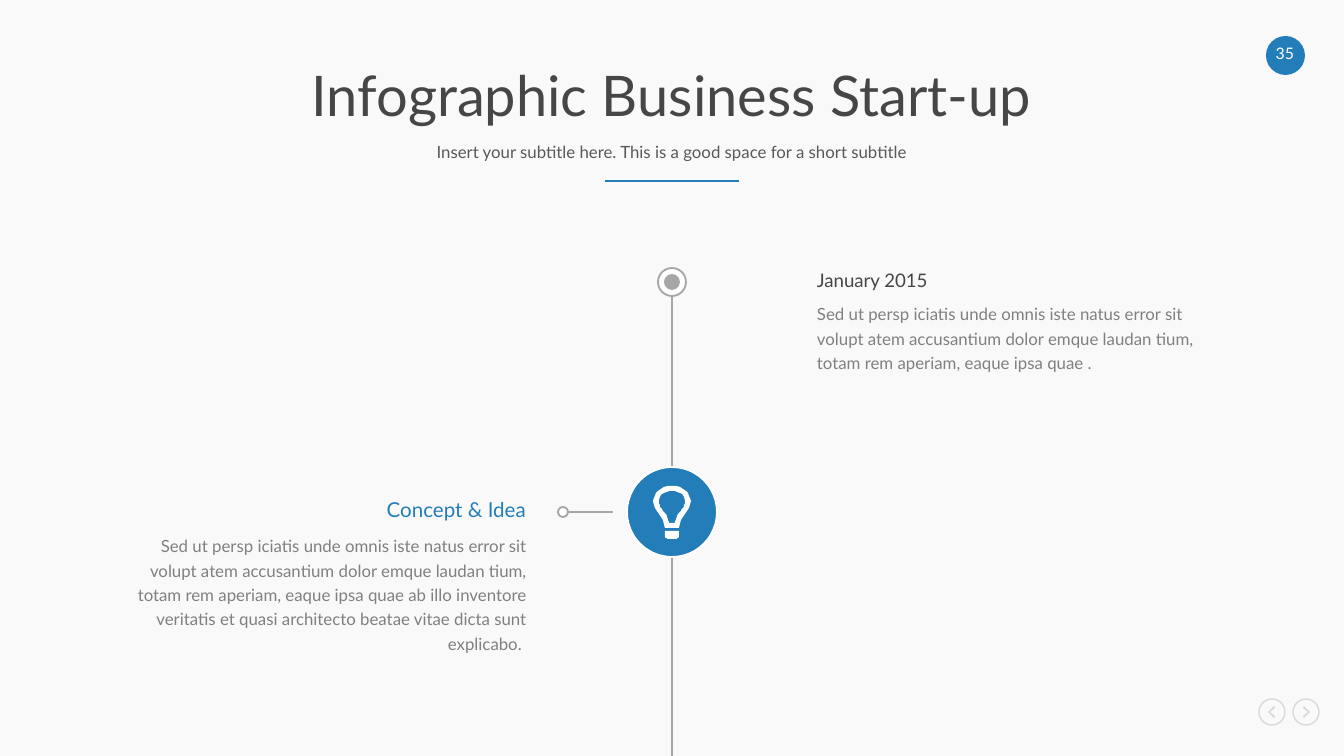
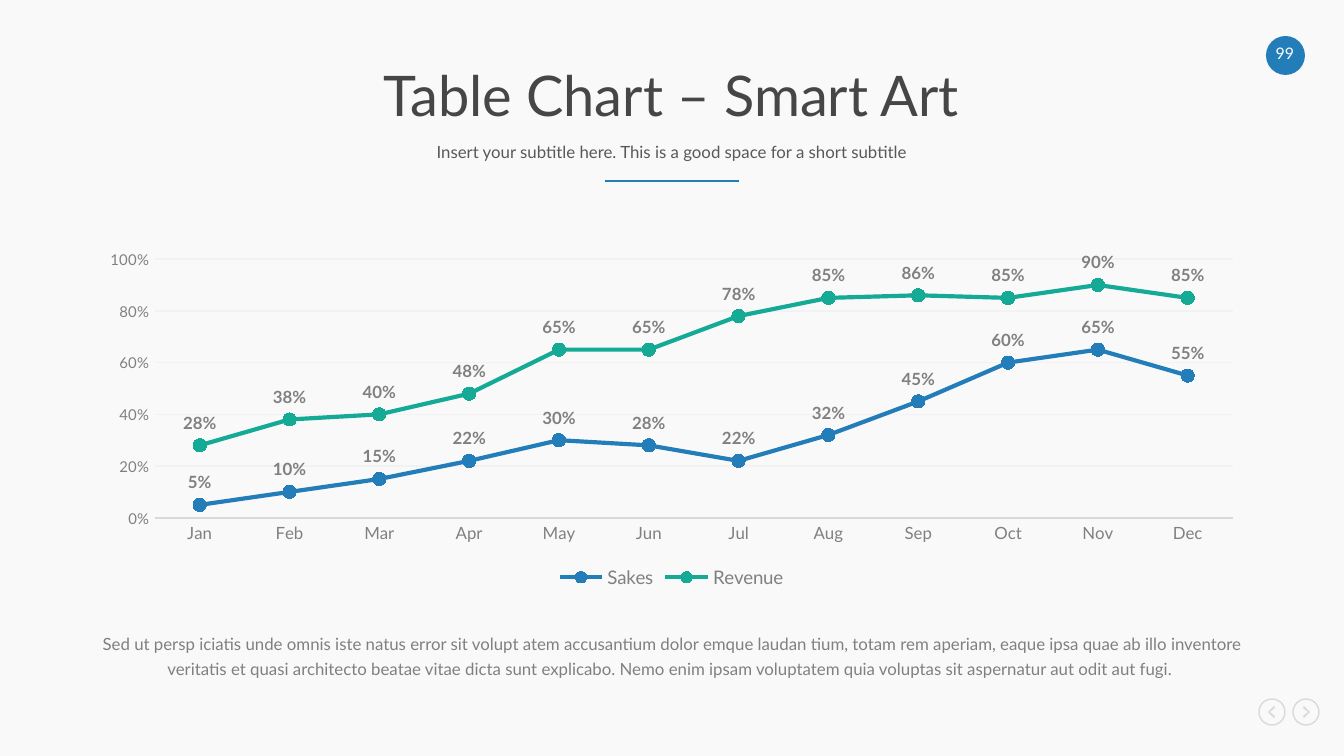
import dataclasses

import pptx
import pptx.chart.data
import pptx.dml.color
import pptx.enum.chart
import pptx.enum.shapes
import pptx.enum.text
import pptx.oxml
import pptx.util
from pptx.oxml import ns

PX = 6804  # EMU in one px
WIDTH, HEIGHT = 1344, 756
CENTER = WIDTH // 2

Pt = pptx.util.Pt
Color = pptx.dml.color.RGBColor.from_string
Align = pptx.enum.text.PP_ALIGN
Anchor = pptx.enum.text.MSO_ANCHOR
OVAL = pptx.enum.shapes.MSO_SHAPE.OVAL
STRAIGHT = pptx.enum.shapes.MSO_CONNECTOR.STRAIGHT


@dataclasses.dataclass(frozen=True)
class Theme:
    font: str = "Lato"
    paper: str = "F9F9F9"
    white: str = "FFFFFF"
    blue: str = "237DB9"
    green: str = "14AA96"
    ink: str = "464646"
    subtitle_ink: str = "595959"
    body_ink: str = "808080"
    timeline: str = "A6A6A6"
    faint: str = "D9D9D9"
    grid: str = "F2F2F2"
    title_size: float = 30
    stage_size: float = 11
    date_size: float = 10
    body_size: float = 9
    badge_size: float = 8.5
    tick_size: float = 8


theme = Theme()


def style(item, fill=None, line=None, width=1):
    """Fill and outline a shape or connector and drop its shadow."""
    if hasattr(item, "fill"):
        if fill:
            item.fill.solid()
            item.fill.fore_color.rgb = Color(fill)
        else:
            item.fill.background()
    if line:
        item.line.color.rgb = Color(line)
        item.line.width = Pt(width)
    else:
        item.line.fill.background()
    if hasattr(item, "shadow"):
        item.shadow.inherit = False
    else:
        item._element.spPr.append(pptx.oxml.parse_xml(f"<a:effectLst {ns.nsdecls('a')}/>"))


def write(box, words, size, color, align=Align.LEFT, anchor=Anchor.TOP, spacing=None, after=0):
    """Put one formatted paragraph in a text box or placeholder without insets."""
    frame = box.text_frame
    frame.word_wrap = True
    frame.auto_size = pptx.enum.text.MSO_AUTO_SIZE.NONE
    frame.vertical_anchor = anchor
    frame.margin_left = frame.margin_right = frame.margin_top = frame.margin_bottom = 0
    para = frame.paragraphs[0]
    para.alignment = align
    para.space_after = Pt(after)
    if spacing:
        para.line_spacing = spacing
    span = para.add_run()
    span.text = words
    span.font.name = theme.font
    span.font.size = Pt(size)
    span.font.color.rgb = Color(color)


deck = pptx.Presentation()
deck.slide_width = WIDTH * PX
deck.slide_height = HEIGHT * PX
background = deck.slide_master.background.fill
background.solid()
background.fore_color.rgb = Color(theme.paper)

# Shared heading, page badge and navigation buttons
CHEVRON = [(2, -6), (3, -4), (-2, 0), (3, 4), (2, 6), (-4, 0)]
SUBTITLE = "Insert your subtitle here. This is a good space for a short subtitle"
pages = []
for title, number in [("Infographic Business Start-up", "35"), ("Table Chart – Smart Art", "99")]:
    page = deck.slides.add_slide(deck.slide_layouts[5])
    pages.append(page)

    heading = page.shapes.title
    heading.left, heading.top, heading.width, heading.height = 87 * PX, 65 * PX, 1169 * PX, 67 * PX
    write(heading, title, theme.title_size, theme.ink, Align.CENTER, Anchor.MIDDLE, 0.9)
    subtitle = page.shapes.add_textbox(87 * PX, 136 * PX, 1169 * PX, 34 * PX)
    write(subtitle, SUBTITLE, theme.body_size, theme.subtitle_ink, Align.CENTER, Anchor.MIDDLE, 0.9)
    rule = page.shapes.add_connector(STRAIGHT, 605 * PX, 181 * PX, 739 * PX, 181 * PX)
    style(rule, line=theme.blue, width=1.5)

    badge = page.shapes.add_shape(OVAL, 1266 * PX, 36 * PX, 39 * PX, 39 * PX)
    style(badge, theme.blue)
    badge_number = page.shapes.add_textbox(1269 * PX, 44 * PX, 32 * PX, 19 * PX)
    write(badge_number, number, theme.badge_size, theme.white, Align.CENTER)

    for x, side in [(1272, 1), (1306, -1)]:
        button = page.shapes.add_shape(OVAL, (x - 13) * PX, 699 * PX, 26 * PX, 26 * PX)
        style(button, line=theme.faint, width=0.75)
        points = [(x + side * dx, 712 + dy) for dx, dy in CHEVRON]
        builder = page.shapes.build_freeform(*points[0], scale=PX)
        builder.add_line_segments(points[1:], close=True)
        style(builder.convert_to_shape(), theme.faint)

timeline_page, chart_page = pages

# Timeline
for top, bottom in [(296, 468), (558, HEIGHT)]:
    stem = timeline_page.shapes.add_connector(STRAIGHT, CENTER * PX, top * PX, CENTER * PX, bottom * PX)
    style(stem, line=theme.timeline)
branch = timeline_page.shapes.add_connector(STRAIGHT, 613 * PX, 512 * PX, 567 * PX, 512 * PX)
style(branch, line=theme.timeline)

for x, y, size, fill, line in [
    (CENTER, 282, 28, theme.white, theme.timeline),
    (CENTER, 282, 16, theme.timeline, None),
    (CENTER, 512, 90, theme.blue, theme.white),
    (563, 512, 10, theme.white, theme.timeline),
]:
    dot = timeline_page.shapes.add_shape(
        OVAL, (x - size // 2) * PX, (y - size // 2) * PX, size * PX, size * PX)
    style(dot, fill, line)

# Bulb outlines: a pair is a straight step, six numbers are a cubic curve
BULB = [
    [(659, 502), (659, 495, 664, 491, 672, 491), (680, 491, 685, 495, 685, 502),
     (685, 505, 683, 508, 680, 512), (677, 515, 676, 519, 675, 523), (669, 523),
     (668, 519, 667, 515, 664, 512), (661, 508, 659, 505, 659, 502)],
    [(679, 528), (679, 516, 691, 512, 691, 501), (690, 494, 684, 486, 672, 486),
     (660, 486, 654, 494, 653, 501), (653, 512, 665, 516, 665, 528)],
    [(665, 537), (667, 539, 669, 539, 672, 539), (675, 539, 677, 539, 679, 537),
     (679, 531), (665, 531)],
]
STEPS = 8
builder = timeline_page.shapes.build_freeform(*BULB[0][0], scale=PX)
for index, outline in enumerate(BULB):
    points = [outline[0]]
    for step in outline[1:]:
        if len(step) == 2:
            points.append(step)
            continue
        ax, ay = points[-1]
        bx, by, cx, cy, dx, dy = step
        for part in range(1, STEPS + 1):
            t = part / STEPS
            u = 1 - t
            points.append((
                u**3 * ax + 3 * u * u * t * bx + 3 * u * t * t * cx + t**3 * dx,
                u**3 * ay + 3 * u * u * t * by + 3 * u * t * t * cy + t**3 * dy,
            ))
    if index:
        builder.move_to(*points[0])
    builder.add_line_segments(points[1:], close=True)
style(builder.convert_to_shape(), theme.white)

LOREM = ("Sed ut persp iciatis unde omnis iste natus error sit volupt atem accusantium dolor "
         "emque laudan tium, totam rem aperiam, eaque ipsa quae ")
LOREM_LONG = LOREM + "ab illo inventore veritatis et quasi architecto beatae vitae dicta sunt explicabo. "
for left, top, height, words, size, color, align, spacing in [
    (112, 497, 26, "Concept & Idea", theme.stage_size, theme.blue, Align.RIGHT, None),
    (112, 532, 98, LOREM_LONG, theme.body_size, theme.body_ink, Align.RIGHT, Pt(13)),
    (817, 269, 23, "January 2015", theme.date_size, theme.ink, Align.LEFT, None),
    (817, 300, 71, LOREM + ".", theme.body_size, theme.body_ink, Align.LEFT, Pt(13)),
]:
    box = timeline_page.shapes.add_textbox(left * PX, top * PX, 414 * PX, height * PX)
    write(box, words, size, color, align, spacing=spacing, after=12)

# Line chart
data = pptx.chart.data.CategoryChartData(number_format="0%")
data.categories = ["Jan", "Feb", "Mar", "Apr", "May", "Jun",
                   "Jul", "Aug", "Sep", "Oct", "Nov", "Dec"]
data.add_series("Sakes", [0.05, 0.1, 0.15, 0.22, 0.3, 0.28, 0.22, 0.32, 0.45, 0.6, 0.65, 0.55])
data.add_series("Revenue", [0.28, 0.38, 0.4, 0.48, 0.65, 0.65, 0.78, 0.85, 0.86, 0.85, 0.9, 0.85])
chart = chart_page.shapes.add_chart(
    pptx.enum.chart.XL_CHART_TYPE.LINE_MARKERS, 87 * PX, 243 * PX, 1169 * PX, 351 * PX, data).chart
chart.has_title = False
chart.has_legend = True
chart.legend.position = pptx.enum.chart.XL_LEGEND_POSITION.BOTTOM
chart.legend.include_in_layout = False
chart.plots[0].vary_by_categories = False

months, shares = chart.category_axis, chart.value_axis
for axis in (months, shares):
    axis.major_tick_mark = axis.minor_tick_mark = pptx.enum.chart.XL_TICK_MARK.NONE
months.format.line.color.rgb = Color(theme.faint)
months.format.line.width = Pt(0.75)
shares.format.line.fill.background()
shares.minimum_scale, shares.maximum_scale, shares.major_unit = 0, 1, 0.2
shares.tick_labels.number_format = "0%"
shares.tick_labels.number_format_is_linked = False
shares.has_major_gridlines = True
shares.major_gridlines.format.line.color.rgb = Color(theme.grid)
shares.major_gridlines.format.line.width = Pt(0.75)

fonts = [(chart.font, theme.date_size), (chart.legend.font, theme.date_size),
         (months.tick_labels.font, theme.body_size), (shares.tick_labels.font, theme.tick_size)]
for series, color in zip(chart.plots[0].series, (theme.blue, theme.green)):
    series.smooth = False
    series.format.line.color.rgb = Color(color)
    series.format.line.width = Pt(2.25)
    series.marker.style = pptx.enum.chart.XL_MARKER_STYLE.CIRCLE
    series.marker.size = 7
    series.marker.format.fill.solid()
    series.marker.format.fill.fore_color.rgb = Color(color)
    series.marker.format.line.color.rgb = Color(color)
    labels = series.data_labels
    labels.show_value = True
    labels.position = pptx.enum.chart.XL_LABEL_POSITION.ABOVE
    labels.number_format = "0%"
    labels.number_format_is_linked = False
    labels.font.bold = True
    fonts.append((labels.font, theme.body_size))
for font, size in fonts:
    font.name = theme.font
    font.size = Pt(size)
    font.color.rgb = Color(theme.body_ink)

caption = chart_page.shapes.add_textbox(87 * PX, 630 * PX, 1169 * PX, 47 * PX)
write(caption, LOREM_LONG + "Nemo enim ipsam voluptatem quia voluptas sit aspernatur aut odit aut fugi. ",
      theme.body_size, theme.body_ink, Align.CENTER, spacing=Pt(13), after=6)

deck.save("out.pptx")
